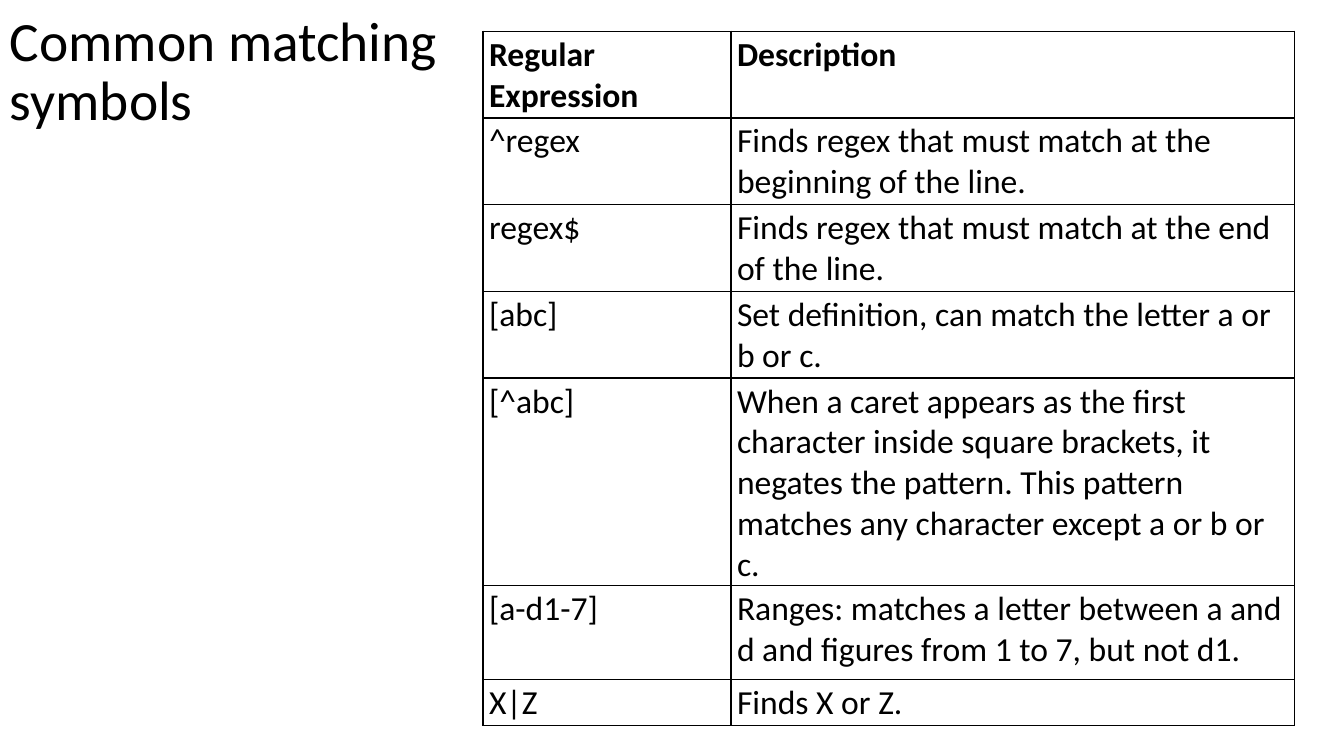
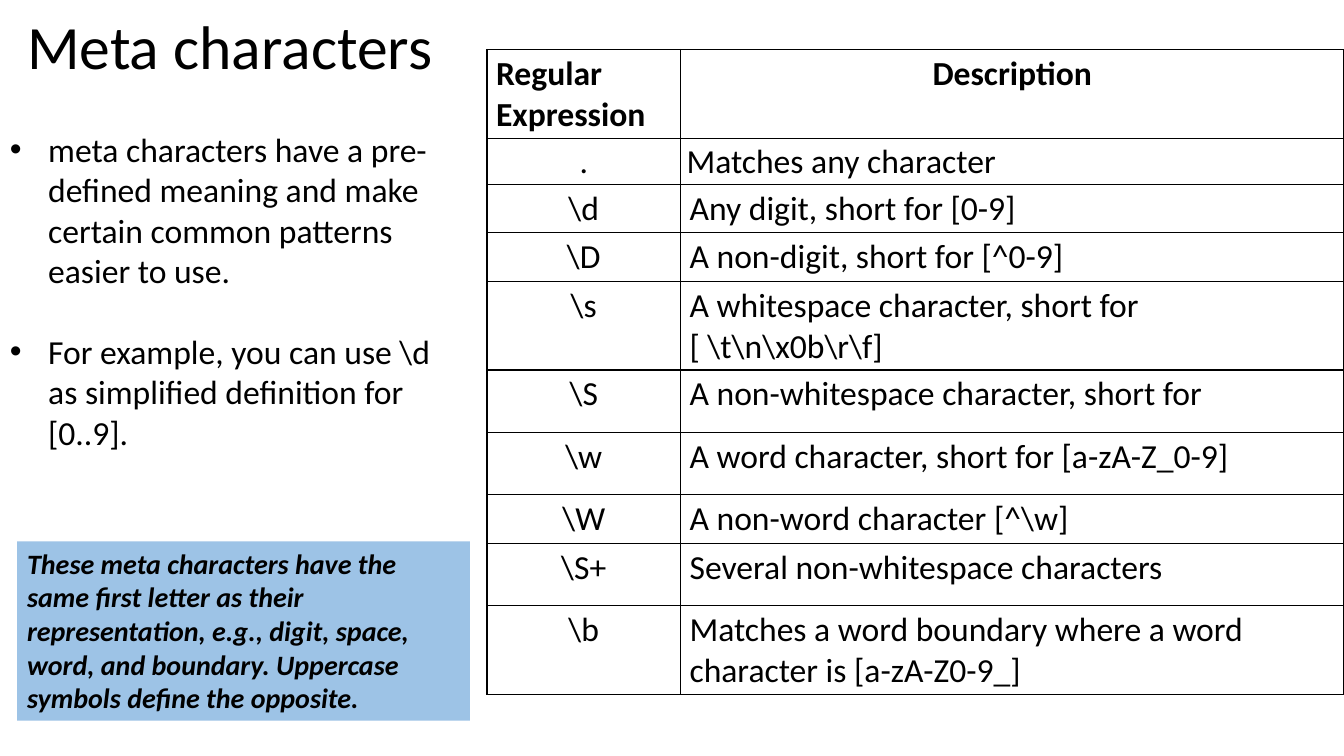
from lxml.etree import SubElement as Sub
from pptx import Presentation
from pptx.dml.color import RGBColor as Rgb
from pptx.enum.shapes import MSO_SHAPE as Shape
from pptx.enum.text import MSO_ANCHOR as Anchor, PP_ALIGN as Align
from pptx.oxml.ns import qn
from pptx.util import Inches, Pt

COLORS = {"ink": "000000", "note": "9DC3E6"}
FONT = "Calibri"
SNUG = (0.06, 0.03)
LOOSE = (0.09, 0.04)

SYMBOLS = [
    ("Regular Expression", "Description"),
    ("^regex", "Finds regex that must match at the beginning of the line."),
    ("regex$", "Finds regex that must match at the end of the line."),
    ("[abc]", "Set definition, can match the letter a or b or c."),
    ("[^abc]", "When a caret appears as the first character inside square "
               "brackets, it negates the pattern. This pattern matches any "
               "character except a or b or c."),
    ("[a-d1-7]", "Ranges: matches a letter between a and d and figures "
                 "from 1 to 7, but not d1."),
    ("X|Z", "Finds X or Z."),
]
METAS = [
    ("Regular Expression", "Description"),
    (".", "Matches any character"),
    (r"\d", "Any digit, short for [0-9]"),
    (r"\D", "A non-digit, short for [^0-9]"),
    (r"\s", r"A whitespace character, short for [ \t\n\x0b\r\f]"),
    (r"\S", "A non-whitespace character, short for"),
    (r"\w", "A word character, short for [a-zA-Z_0-9]"),
    (r"\W", r"A non-word character [^\w]"),
    (r"\S+", "Several non-whitespace characters"),
    (r"\b", "Matches a word boundary where a word character is [a-zA-Z0-9_]"),
]
POINTS = [
    "meta characters have a pre-defined meaning and make certain common "
    "patterns easier to use.",
    r"For example, you can use \d as simplified definition for [0..9].",
]
NOTE = ("These meta characters have the same first letter as their "
        "representation, e.g., digit, space, word, and boundary. "
        "Uppercase symbols define the opposite.")


class Deck:
    def __init__(self):
        self.prs = Presentation()
        self.prs.slide_width = Inches(13.33)
        self.prs.slide_height = Inches(7.5)
        self.slide = None

    def page(self):
        self.slide = self.prs.slides.add_slide(self.prs.slide_layouts[6])

    def style(self, para, size, bold=False, italic=False, align=Align.LEFT):
        para.alignment = align
        font = para.font
        font.name, font.size = FONT, Pt(size)
        font.bold, font.italic = bold, italic
        font.color.rgb = Rgb.from_string(COLORS["ink"])

    def box(self, *at):
        frame = self.slide.shapes.add_textbox(*map(Inches, at)).text_frame
        frame.word_wrap = True
        return frame

    def title(self, text, at, size):
        frame = self.box(*at)
        frame.vertical_anchor = Anchor.MIDDLE
        para = frame.paragraphs[0]
        para.text = text
        para.line_spacing = 0.9
        self.style(para, size)

    def bullets(self, items, at, size=24, indent=0.38):
        frame = self.box(*at)
        for i, item in enumerate(items):
            para = frame.add_paragraph() if i else frame.paragraphs[0]
            para.text = item
            para.space_before = Pt(29 if i else 0)
            self.style(para, size)
            props = para._p.get_or_add_pPr()
            props.set("marL", str(Inches(indent)))
            props.set("indent", str(-Inches(indent)))
            Sub(props, qn("a:buFont"), typeface="Arial")
            Sub(props, qn("a:buChar"), char="•")

    def note(self, text, at):
        shape = self.slide.shapes.add_shape(Shape.RECTANGLE, *map(Inches, at))
        shape.shadow.inherit = False
        shape.fill.solid()
        shape.fill.fore_color.rgb = Rgb.from_string(COLORS["note"])
        shape.line.fill.background()
        frame = shape.text_frame
        frame.word_wrap = True
        frame.vertical_anchor = Anchor.TOP
        para = frame.paragraphs[0]
        para.text = text
        self.style(para, 20, bold=True, italic=True)

    def border(self, cell):
        props = cell._tc.get_or_add_tcPr()
        for side in ("lnL", "lnR", "lnT", "lnB"):
            line = Sub(props, qn(f"a:{side}"), w=str(Pt(1)))
            fill = Sub(line, qn("a:solidFill"))
            Sub(fill, qn("a:srgbClr"), val=COLORS["ink"])

    def cell(self, cell, text, inset, bold, align):
        cell.margin_left = cell.margin_right = Inches(inset[0])
        cell.margin_top = cell.margin_bottom = Inches(inset[1])
        self.border(cell)
        cell.fill.background()
        para = cell.text_frame.paragraphs[0]
        para.text = text
        self.style(para, 24, bold=bold, align=align)

    def table(self, rows, at, widths, heights, inset, center=(), snug=()):
        """Draw a ruled table; center holds (row, column) pairs, snug holds rows."""
        size = (sum(widths), sum(heights))
        table = self.slide.shapes.add_table(
            len(rows), len(widths), *map(Inches, (*at, *size))).table
        table.first_row = table.horz_banding = False
        for col, width in zip(table.columns, widths):
            col.width = Inches(width)
        for r, (row, height) in enumerate(zip(rows, heights)):
            table.rows[r].height = Inches(height)
            for c, text in enumerate(row):
                align = Align.CENTER if (r, c) in center else Align.LEFT
                pad = SNUG if r in snug else inset
                self.cell(table.cell(r, c), text, pad, r == 0, align)


def main():
    deck = Deck()

    deck.page()
    deck.title("Common matching symbols", (0, 0, 4.52, 1.45), 39.6)
    deck.table(SYMBOLS, (4.79, 0.31), (2.46, 5.59),
               (0.41, 0.76, 0.65, 0.65, 0.93, 0.93, 0.41), SNUG)

    deck.page()
    deck.title("Meta characters", (0.17, 0.03, 11.5, 0.92), 44)
    center = {(0, 1)} | {(r, 0) for r in range(1, len(METAS))}
    deck.table(METAS, (4.83, 0.49), (1.92, 6.58),
               (*[0.35] * 4, *[0.62] * 3, 0.35, 0.62, 0.88),
               LOOSE, center, snug={1})
    deck.bullets(POINTS, (0, 1.23, 4.66, 3.33))
    deck.note(NOTE, (0.17, 5.37, 4.49, 1.78))

    deck.prs.save("out.pptx")


if __name__ == "__main__":
    main()
